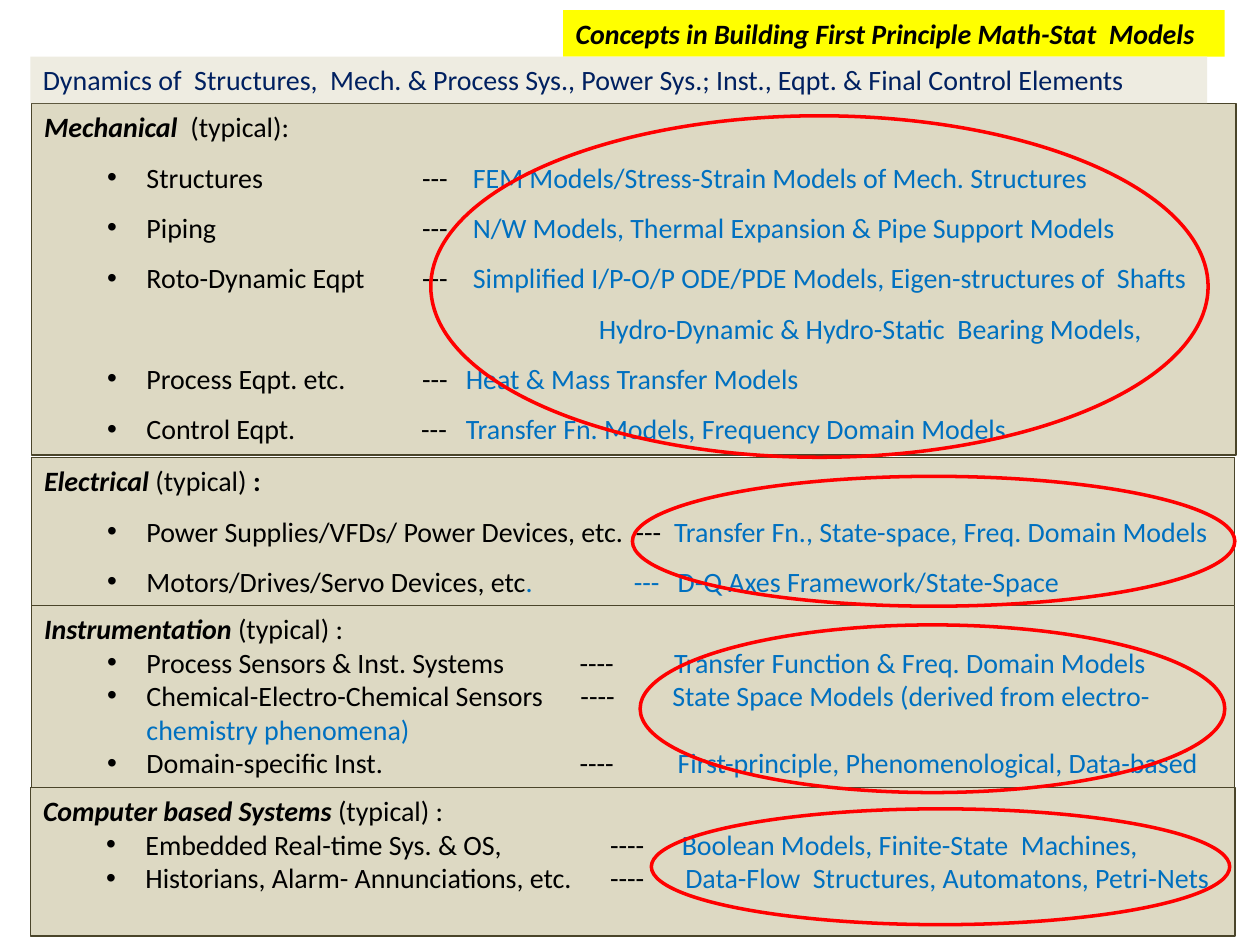
"""Build the slide on concepts in first principle models."""
from lxml import etree
from pptx import Presentation
from pptx.dml.color import RGBColor
from pptx.enum import shapes, text
from pptx.oxml import ns
from pptx.util import Pt

BLACK = RGBColor(0, 0, 0)
BLUE = RGBColor(0x00, 0x70, 0xC0)
NAVY = RGBColor(0x00, 0x20, 0x60)
RED = RGBColor(0xFF, 0, 0)
YELLOW = RGBColor(0xFF, 0xFF, 0)
SAND = RGBColor(0xDD, 0xD9, 0xC3)
CREAM = RGBColor(0xEE, 0xEC, 0xE1)
BROWN = RGBColor(0x4A, 0x45, 0x2A)

TITLE = "Concepts in Building First Principle Math-Stat  Models"
SCOPE = ("Dynamics of  Structures,  Mech. & Process Sys., Power Sys.; "
         "Inst., Eqpt. & Final Control Elements")

PANELS = [
    ((18, 59.2, 688.3, 200.9), 1.5, ("Mechanical", "  (typical):", ""), [
        ("Structures\t---\t", "FEM Models/Stress-Strain Models of Mech. Structures",
         (216, 245)),
        ("Piping\t---\t", "N/W Models, Thermal Expansion & Pipe Support Models",
         (216, 245)),
        ("Roto-Dynamic Eqpt\t---\t",
         "Simplified I/P-O/P ODE/PDE Models, Eigen-structures of  Shafts",
         (216, 245)),
        ("", "Hydro-Dynamic & Hydro-Static  Bearing Models,", (317,)),
        ("Process Eqpt. etc.\t---\t", "Heat & Mass Transfer Models", (216, 241)),
        ("Control Eqpt.\t---\t", "Transfer Fn. Models, Frequency Domain Models",
         (215.5, 241)),
    ]),
    ((18, 261.4, 687.6, 84.8), 1.5, ("Electrical ", "(typical) ", ":"), [
        ("Power Supplies/VFDs/ Power Devices, etc.\t---\t",
         "Transfer Fn., State-space, Freq. Domain Models", (338, 360)),
        ("Motors/Drives/Servo Devices, etc", ".\t---\tD-Q Axes Framework/State-Space",
         (337, 362)),
    ]),
    ((18, 345.8, 687.6, 104.4), 1, ("Instrumentation", " (typical) :", ""), [
        ("Process Sensors & Inst. Systems\t----\t",
         "Transfer Function & Freq. Domain Models", (306, 360)),
        ("Chemical-Electro-Chemical Sensors\t----\t",
         "State Space Models (derived from electro-\nchemistry phenomena)",
         (306.5, 359)),
        ("Domain-specific Inst.\t----\t",
         "First-principle, Phenomenological, Data-based", (306, 362)),
    ]),
    ((17.4, 450, 688.3, 84.8), 1, ("Computer based Systems ", "(typical) :", ""), [
        ("Embedded Real-time Sys. & OS,\t----\t",
         "Boolean Models, Finite-State  Machines,", (324, 365)),
        ("Historians, Alarm- Annunciations, etc.\t----\t",
         "Data-Flow  Structures, Automatons, Petri-Nets", (324, 367)),
    ]),
]

RINGS = [(246.2, 66.2, 444.2, 195.1), (361.4, 272.2, 344.2, 74.2),
         (365.8, 357.1, 334.1, 95.8), (372.2, 462.2, 330.5, 66.2)]


def place(shape, box, fill):
    """Set the box, fill and text frame of a shape."""
    shape.left, shape.top, shape.width, shape.height = map(Pt, box)
    shape.fill.solid()
    shape.fill.fore_color.rgb = fill
    frame = shape.text_frame
    frame.word_wrap = True
    frame.auto_size = text.MSO_AUTO_SIZE.NONE
    frame.vertical_anchor = text.MSO_ANCHOR.TOP
    return frame


def add_run(para, words, color, bold=False, slant=False):
    """Add words in one style, with a line break at each newline."""
    for i, line in enumerate(words.split("\n")):
        if i:
            para.add_line_break()
        if line:
            run = para.add_run()
            run.text = line
            run.font.color.rgb = color
            run.font.bold, run.font.italic = bold, slant


def set_font(para):
    """Give a paragraph the common font, spacing and alignment."""
    para.font.name, para.font.size = "Calibri", Pt(16)
    para.space_before = para.space_after = Pt(0)
    para.alignment = text.PP_ALIGN.LEFT


def set_list(para, bullet, margin=0, hang=0, tabs=()):
    """Set the bullet, indents and tab stops of a paragraph."""
    props = para._p.get_or_add_pPr()
    props.set("marL", str(Pt(margin)))
    props.set("indent", str(Pt(hang)))
    if bullet:
        etree.SubElement(props, ns.qn("a:buFont")).set("typeface", "Arial")
        etree.SubElement(props, ns.qn("a:buChar")).set("char", bullet)
    else:
        etree.SubElement(props, ns.qn("a:buNone"))
    if tabs:
        stops = etree.SubElement(props, ns.qn("a:tabLst"))
        for pos in tabs:
            stop = etree.SubElement(stops, ns.qn("a:tab"))
            stop.set("pos", str(Pt(pos)))
            stop.set("algn", "l")


def add_row(frame, item, model, tabs, pitch):
    """Add a list row with its models, or a further line of models."""
    para = frame.add_paragraph()
    para.level = 1
    if item:
        set_list(para, "•", 58.5, -22.5, tabs)
    else:
        set_list(para, None, tabs[0])
    set_font(para)
    para.line_spacing = pitch
    add_run(para, item, BLACK)
    add_run(para, model, BLUE)


def fill_panel(shape, box, pitch, head, rows):
    """Fill a body placeholder with a heading and its rows."""
    frame = place(shape, box, SAND)
    shape.line.color.rgb = BROWN
    shape.line.width = Pt(0.75)
    para = frame.paragraphs[0]
    set_list(para, None)
    set_font(para)
    name, kind, colon = head
    add_run(para, name, BLACK, True, True)
    add_run(para, kind, BLACK)
    add_run(para, colon, BLACK, True)
    for item, model, tabs in rows:
        add_row(frame, item, model, tabs, pitch)


def add_ring(slide, box):
    """Add a red outline ellipse."""
    ring = slide.shapes.add_shape(shapes.MSO_SHAPE.OVAL, *map(Pt, box))
    ring.shadow.inherit = False
    ring.fill.background()
    ring.line.color.rgb = RED
    ring.line.width = Pt(2)


def fill_bar(shape, box, fill, words, color, strong=False):
    """Fill a one-line bar."""
    para = place(shape, box, fill).paragraphs[0]
    set_font(para)
    add_run(para, words, color, strong, strong)


def main():
    """Build and save the slide."""
    deck = Presentation()
    deck.slide_width, deck.slide_height = Pt(720), Pt(540)
    slide = deck.slides.add_slide(deck.slide_layouts[4])
    title, *bodies = slide.placeholders
    fill_bar(title, (321.8, 5.8, 378, 26.6), YELLOW, TITLE, BLACK, True)
    for body, panel in zip(bodies, PANELS):
        fill_panel(body, *panel)
    for box in RINGS:
        add_ring(slide, box)
    box = (17.4, 32.4, 672.5, 26.6)
    bar = slide.shapes.add_textbox(*map(Pt, box))
    fill_bar(bar, box, CREAM, SCOPE, NAVY)
    deck.save("out.pptx")


if __name__ == "__main__":
    main()
